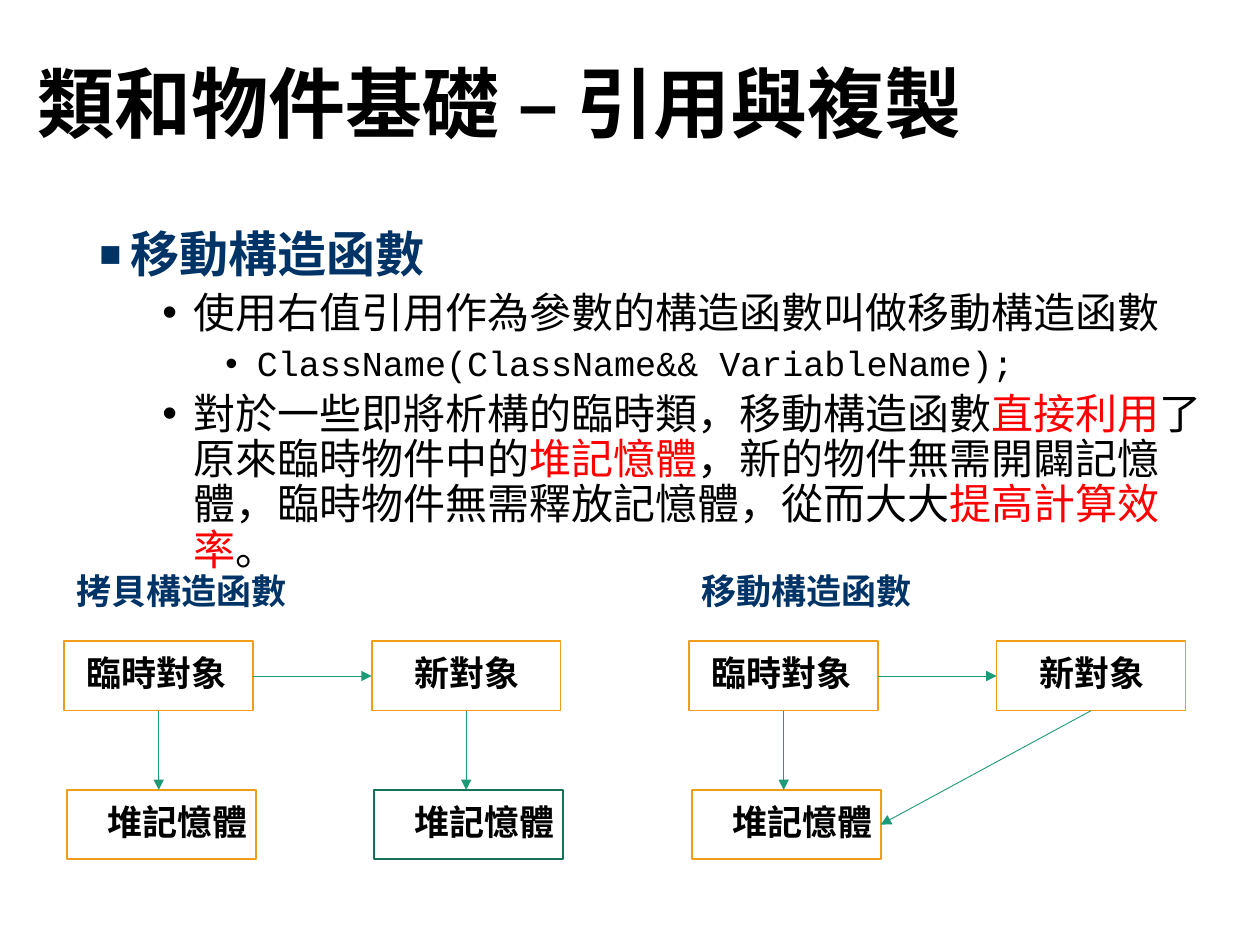
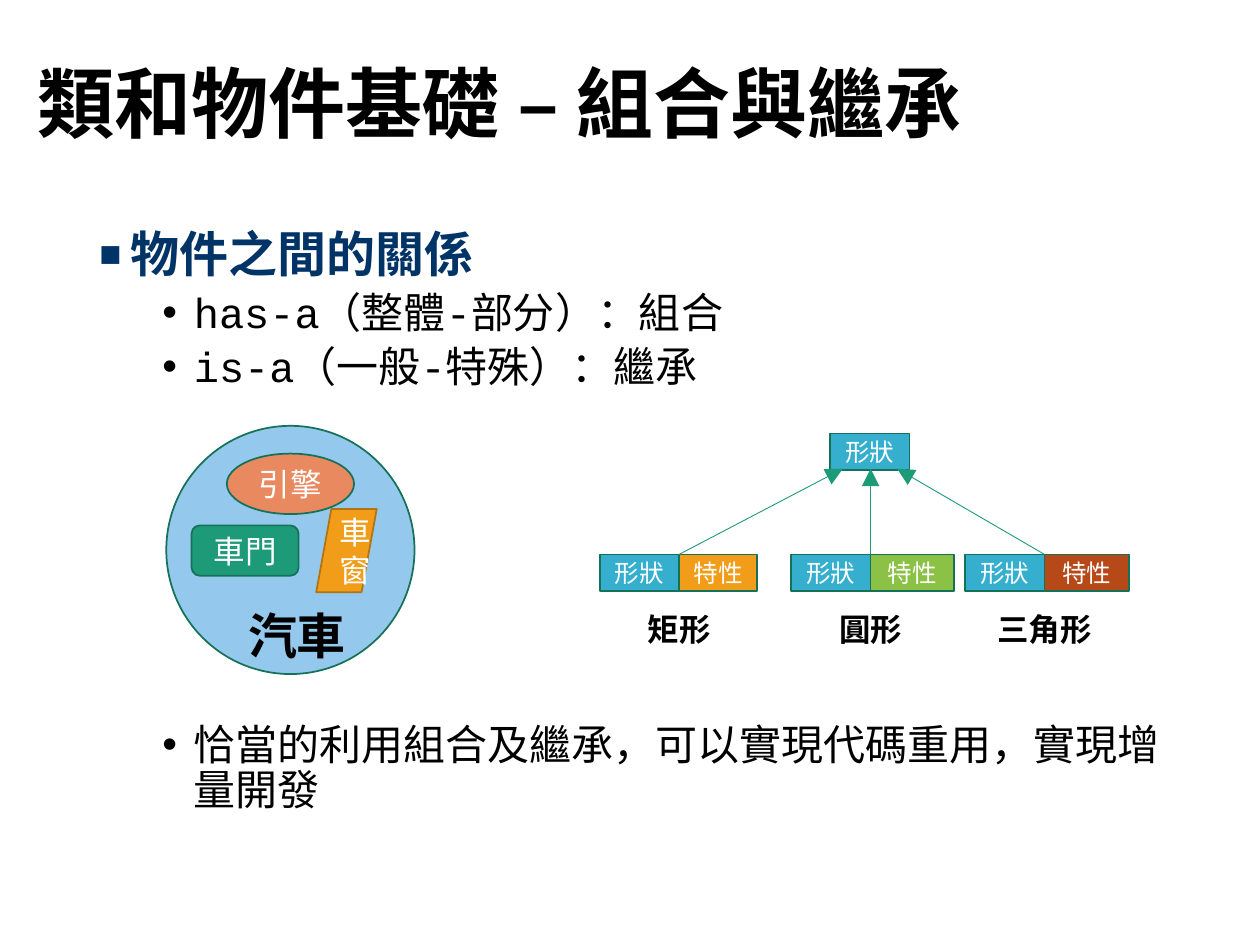
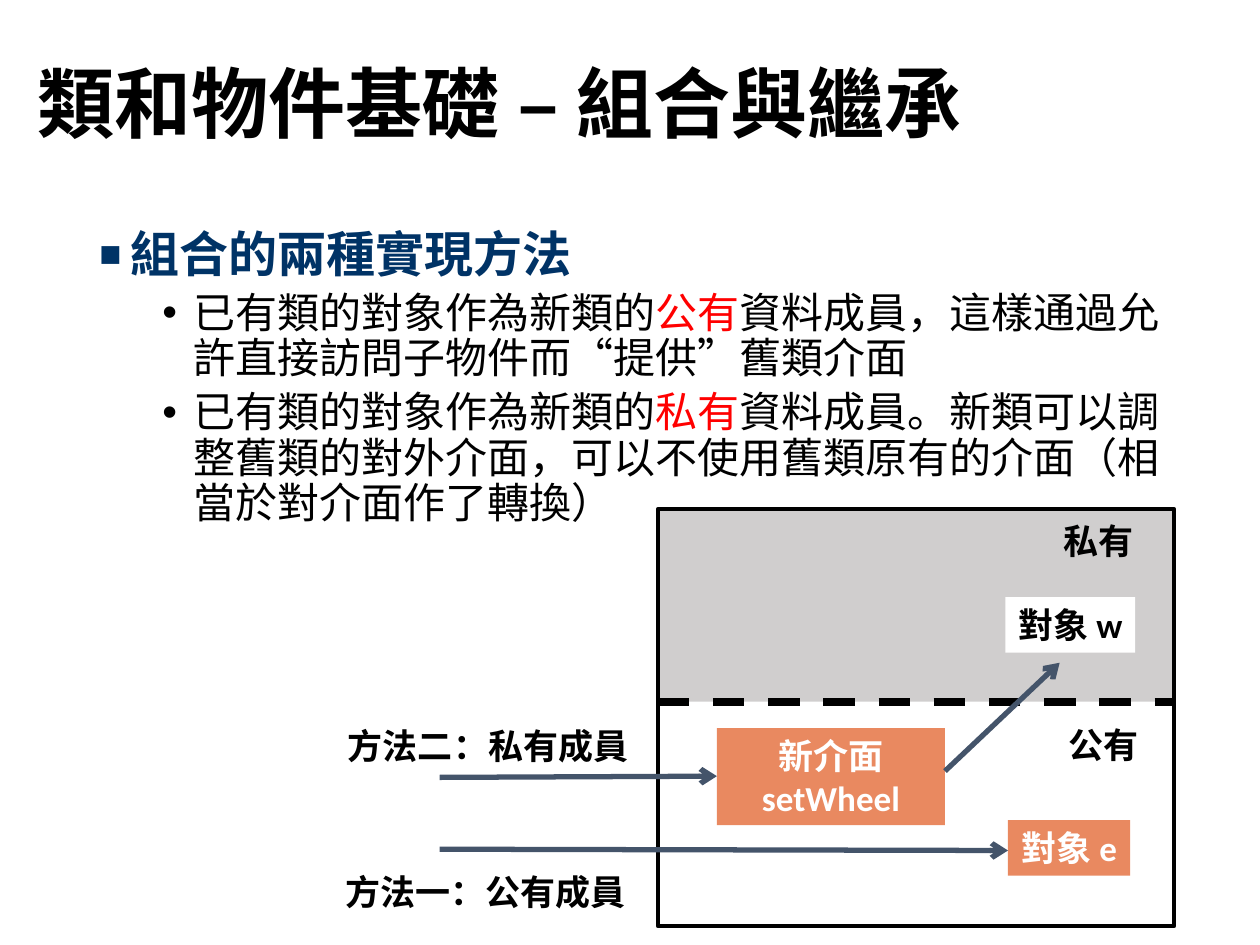
from dataclasses import dataclass

from lxml import etree
from pptx import Presentation
from pptx.dml.color import RGBColor
from pptx.enum.dml import MSO_LINE
from pptx.enum.shapes import MSO_CONNECTOR, MSO_SHAPE
from pptx.enum.text import MSO_ANCHOR, PP_ALIGN
from pptx.oxml.ns import qn
from pptx.util import Inches, Pt

STRAIGHT = MSO_CONNECTOR.STRAIGHT
RECT, OVAL = MSO_SHAPE.RECTANGLE, MSO_SHAPE.OVAL
ROUNDED, SLANTED = MSO_SHAPE.ROUNDED_RECTANGLE, MSO_SHAPE.PARALLELOGRAM
LEFT, CENTER = PP_ALIGN.LEFT, PP_ALIGN.CENTER
TOP, MIDDLE = MSO_ANCHOR.TOP, MSO_ANCHOR.MIDDLE
DASH = MSO_LINE.DASH

CJK, SANS, MONO = "Noto Sans CJK SC", "Calibri", "Courier New"
COLORS = {
    "black": "000000", "white": "FFFFFF", "red": "FF0000", "navy": "003366",
    "green": "1D9A78", "dark green": "157259", "orange": "F19D19",
    "dark orange": "B27412", "sky": "94C8ED", "coral": "E98960",
    "teal": "36AFCE", "lime": "8BC145", "rust": "B74919",
    "grey": "D0CECE", "slate": "44546A",
}


@dataclass(frozen=True)
class TextStyle:
    size: float
    font: str = SANS
    color: str = "black"
    bold: bool = True
    align: int = CENTER
    anchor: int = TOP


@dataclass(frozen=True)
class Level:
    style: TextStyle
    indent: float
    bullet: str
    bullet_percent: int
    space_before: float


@dataclass(frozen=True)
class Item:
    """A bullet; every second part between bars is red."""
    level: int
    text: str
    space_before: float | None = None


@dataclass(frozen=True)
class Block:
    kind: int
    left: float
    top: float
    width: float
    height: float
    fill: str | None
    line: str | None = None
    text: str = ""


TITLE = TextStyle(44, CJK, align=LEFT, anchor=MIDDLE)
LABEL = TextStyle(20)
CAPTION = TextStyle(18)
MEMORY = TextStyle(20, CJK, align=LEFT)
MEMORY_HEADING = TextStyle(20, CJK, "navy", align=LEFT)
PART = TextStyle(18, color="white", bold=False, anchor=MIDDLE)
TRAIT = TextStyle(14, color="white", bold=False, anchor=MIDDLE)

LEVELS = [
    Level(TextStyle(28, MONO, "navy"), 0.25, "■", 75, 10),
    Level(TextStyle(24, MONO, bold=False), 0.75, "•", 100, 5),
    Level(TextStyle(20, MONO, bold=False), 1.25, "•", 100, 5),
]


def rgb(name: str) -> RGBColor:
    return RGBColor.from_string(COLORS[name])


def set_font(para, style: TextStyle) -> None:
    font = para.font
    font.name, font.size, font.bold = style.font, Pt(style.size), style.bold
    font.color.rgb = rgb(style.color)
    latin = para._p.pPr.find(qn("a:defRPr")).find(qn("a:latin"))
    latin.addnext(latin.makeelement(qn("a:ea"), {"typeface": CJK}))


def write(shape, text: str, style: TextStyle) -> None:
    frame = shape.text_frame
    frame.word_wrap, frame.vertical_anchor = True, style.anchor
    para = frame.paragraphs[0]
    para.add_run().text = text
    para.alignment = style.align
    set_font(para, style)


def add_text(page, left: float, top: float, width: float, height: float,
             text: str, style: TextStyle):
    box = page.shapes.add_textbox(Inches(left), Inches(top), Inches(width), Inches(height))
    write(box, text, style)
    return box


def add_block(page, block: Block, style: TextStyle = LABEL, line_width: float = 1):
    shape = page.shapes.add_shape(block.kind, Inches(block.left), Inches(block.top),
                                  Inches(block.width), Inches(block.height))
    shape.shadow.inherit = False
    if block.fill:
        shape.fill.solid()
        shape.fill.fore_color.rgb = rgb(block.fill)
    else:
        shape.fill.background()
    if block.line:
        shape.line.color.rgb = rgb(block.line)
        shape.line.width = Pt(line_width)
    else:
        shape.line.fill.background()
    if block.text:
        write(shape, block.text, style)
    return shape


def add_line(page, start: tuple[float, float], end: tuple[float, float], color: str,
             width: float, head: str | None = None, head_size: str = "med"):
    line = page.shapes.add_connector(STRAIGHT, *map(Inches, start + end))
    line.line.color.rgb = rgb(color)
    line.line.width = Pt(width)
    properties = line._element.spPr
    if head:
        etree.SubElement(properties.find(qn("a:ln")), qn("a:tailEnd"),
                         type=head, w=head_size, len=head_size)
    etree.SubElement(properties, qn("a:effectLst"))
    return line


def add_bullet(para, level: Level) -> None:
    properties = para._p.get_or_add_pPr()
    properties.set("marL", str(Inches(level.indent)))
    properties.set("indent", str(Inches(-0.25)))
    properties.set("hangingPunct", "0")
    etree.SubElement(properties, qn("a:buSzPct"), val=str(level.bullet_percent * 1000))
    etree.SubElement(properties, qn("a:buFont"), typeface="Arial")
    etree.SubElement(properties, qn("a:buChar"), char=level.bullet)


def add_page(deck, title: str, items: list[Item], body_width: float = 8.8):
    """Add a page with the shared title and bulleted body."""
    page = deck.slides.add_slide(deck.slide_layouts[6])
    heading = add_text(page, 0.2, 0.13, 8.62, 1.45, title, TITLE)
    heading.text_frame.paragraphs[0].line_spacing = 0.9
    body = page.shapes.add_textbox(Inches(0.69), Inches(1.78), Inches(body_width), Inches(5.19))
    frame = body.text_frame
    frame.word_wrap = True
    for index, item in enumerate(items):
        level = LEVELS[item.level]
        para = frame.add_paragraph() if index else frame.paragraphs[0]
        para.level = item.level
        add_bullet(para, level)
        para.line_spacing = 0.9
        if index:
            para.space_before = Pt(item.space_before or level.space_before)
        set_font(para, level.style)
        for position, text in enumerate(item.text.split("|")):
            span = para.add_run()
            span.text = text
            if position % 2:
                span.font.color.rgb = rgb("red")
    return page


def draw_memory(page, left: float, heading: str, shares_heap: bool) -> None:
    """Draw a temporary and a new object with the heap memory they use."""
    width, height, object_top, heap_top = 1.5, 0.55, 5.09, 6.27
    new_left = left + 2.44

    def add_memory(x: float, y: float, text: str, inset: float, line: str = "orange") -> None:
        box = add_block(page, Block(RECT, x, y, width, height, "white", line, text), MEMORY)
        frame = box.text_frame
        frame.margin_left, frame.margin_right = Inches(inset), 0
        frame.margin_top = Inches(0.08)

    add_text(page, left, 4.47, 2.82, 0.44, heading, MEMORY_HEADING)
    add_memory(left, object_top, "臨時對象", 0.18)
    add_memory(new_left, object_top, "新對象", 0.34)
    add_memory(left + 0.02, heap_top, "堆記憶體", 0.32)

    object_middle, object_bottom = object_top + height / 2, object_top + height
    temporary_center, new_center = left + width / 2, new_left + width / 2
    if shares_heap:
        new_target = (left + 0.02 + width, heap_top + height / 2)
    else:
        add_memory(new_left + 0.02, heap_top, "堆記憶體", 0.32, "dark green")
        new_target = (new_center, heap_top)
    for start, end in [
        ((left + width, object_middle), (new_left, object_middle)),
        ((temporary_center, object_bottom), (temporary_center, heap_top)),
        ((new_center, object_bottom), new_target),
    ]:
        add_line(page, start, end, "green", 0.5, "triangle")


def build_move_page(deck) -> None:
    page = add_page(deck, "類和物件基礎 – 引用與複製", [
        Item(0, "移動構造函數"),
        Item(1, "使用右值引用作為參數的構造函數叫做移動構造函數"),
        Item(2, "ClassName(ClassName&& VariableName);"),
        Item(1, "對於一些即將析構的臨時類，移動構造函數|直接利用|了原來臨時物件中的|堆記憶體|"
                "，新的物件無需開闢記憶體，臨時物件無需釋放記憶體，從而大大|提高計算效率|。"),
    ], body_width=9.19)
    draw_memory(page, 0.51, "拷貝構造函數", shares_heap=False)
    draw_memory(page, 5.47, "移動構造函數", shares_heap=True)


def build_relation_page(deck) -> None:
    page = add_page(deck, "類和物件基礎 – 組合與繼承", [
        Item(0, "物件之間的關係"),
        Item(1, "has-a（整體-部分）：組合"),
        Item(1, "is-a（一般-特殊）：繼承"),
        Item(1, "恰當的利用組合及繼承，可以實現代碼重用，實現增量開發", space_before=190),
    ])

    # Car and its parts
    for part in [
        Block(OVAL, 1.32, 3.38, 1.97, 1.97, "sky", "dark green"),
        Block(ROUNDED, 1.52, 4.17, 0.85, 0.4, "green", "dark green", "車門"),
        Block(SLANTED, 2.51, 4.04, 0.48, 0.66, "orange", "dark orange", "車窗"),
        Block(OVAL, 1.8, 3.6, 1.01, 0.48, "coral", "dark green", "引擎"),
    ]:
        add_block(page, part, PART)
    add_text(page, 1.87, 4.76, 1.12, 0.57, "汽車", TextStyle(28, align=LEFT))

    # Shape and its subclasses
    base_width, height, child_top = 0.63, 0.29, 4.4

    def add_trait(left: float, top: float, width: float, fill: str, text: str) -> None:
        add_block(page, Block(RECT, left, top, width, height, fill, "dark green", text), TRAIT)

    add_trait(6.59, 3.44, base_width, "teal", "形狀")
    for name, left, trait_width, fill, name_center, tip in [
        ("矩形", 4.76, 0.62, "orange", 5.39, 6.69),
        ("圓形", 6.28, 0.66, "lime", 6.91, 6.91),
        ("三角形", 7.66, 0.67, "rust", 8.29, 7.12),
    ]:
        seam = left + base_width
        add_trait(seam, child_top, trait_width, fill, "特性")
        add_trait(left, child_top, base_width, "teal", "形狀")
        add_text(page, name_center - 0.54, 4.79, 1.08, 0.4, name, CAPTION)
        add_line(page, (seam, child_top), (tip, 3.72), "green", 0.5, "triangle", "lg")


def build_composition_page(deck) -> None:
    page = add_page(deck, "類和物件基礎 – 組合與繼承", [
        Item(0, "組合的兩種實現方法"),
        Item(1, "已有類的對象作為新類的|公有|資料成員，這樣通過允許直接訪問子物件而“提供”舊類介面"),
        Item(1, "已有類的對象作為新類的|私有|資料成員。新類可以調整舊類的對外介面，"
                "可以不使用舊類原有的介面（相當於對介面作了轉換）"),
    ])
    white_label = TextStyle(20, color="white")

    # Class frame with private and public halves
    left, top, width, border = 5.22, 4.04, 4.1, 5.57
    add_block(page, Block(RECT, left, top, width, border - top, "grey"))
    add_block(page, Block(RECT, left, top, width, 3.31, None, "black"), line_width=2.25)

    # Member objects, each label on one line
    for member, style in [
        (Block(RECT, 7.98, 4.74, 1.03, 0.44, "white", text="對象 w"), LABEL),
        (Block(RECT, 8, 6.51, 0.97, 0.44, "coral", text="對象 e"), white_label),
    ]:
        frame = add_block(page, member, style).text_frame
        frame.margin_left = frame.margin_right = 0

    divider = add_line(page, (left, border), (left + width, border), "black", 4.5)
    divider.line.dash_style = DASH
    add_block(page, Block(RECT, 5.69, 5.78, 1.81, 0.77, "coral", text="新介面setWheel"),
              TextStyle(20, color="white", anchor=MIDDLE))

    # Access routes
    for start, end in [
        ((3.49, 6.74), (8, 6.75)),
        ((7.5, 6.12), (8.41, 5.26)),
        ((3.49, 6.17), (5.69, 6.16)),
    ]:
        add_line(page, start, end, "slate", 3, "arrow")

    for text, x, y, label_width in [
        ("私有", 8.13, 4.07, 1.18),
        ("公有", 8.2, 5.69, 1.11),
        ("方法二：私有成員", 2.56, 5.7, 2.63),
        ("方法一：公有成員", 2.54, 6.86, 2.63),
    ]:
        add_text(page, x, y, label_width, 0.44, text, LABEL)


def main() -> None:
    deck = Presentation()
    deck.slide_width, deck.slide_height = Inches(10), Inches(7.5)
    build_move_page(deck)
    build_relation_page(deck)
    build_composition_page(deck)
    deck.save("out.pptx")


if __name__ == "__main__":
    main()
